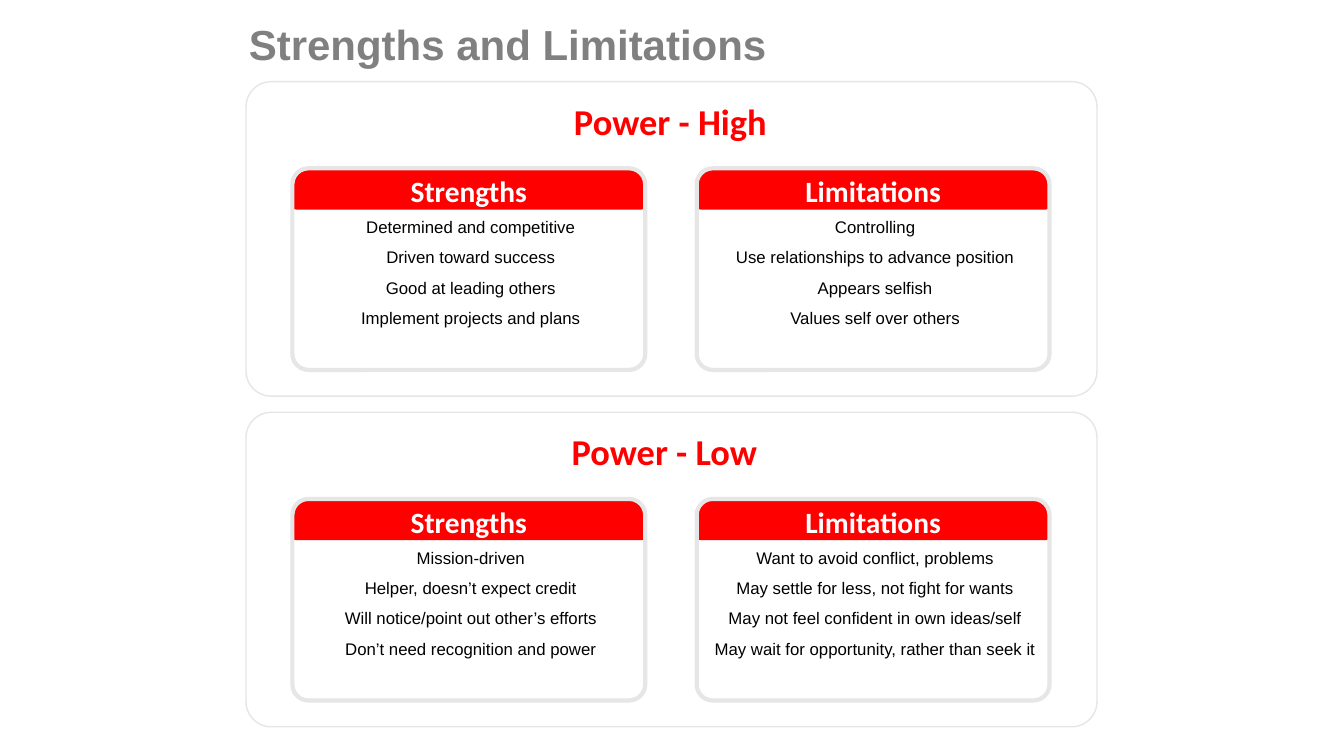
from pptx import Presentation
from pptx.dml.color import RGBColor
from pptx.enum.shapes import MSO_SHAPE as Shape
from pptx.enum.text import MSO_ANCHOR as Anchor, MSO_AUTO_SIZE as AutoSize, PP_ALIGN as Align
from pptx.util import Inches, Pt

COLORS = {"title": "808080", "accent": "FF0000", "border": "E7E6E6",
          "header": "FFFFFF", "body": "000000"}

PANELS = [
    ("Power - High", 2.54, {
        "Strengths": ["Determined and competitive", "Driven toward success",
                      "Good at leading others", "Implement projects and plans"],
        "Limitations": ["Controlling", "Use relationships to advance position",
                        "Appears selfish", "Values self over others"],
    }),
    ("Power - Low", 2.48, {
        "Strengths": ["Mission-driven", "Helper, doesn’t expect credit",
                      "Will notice/point out other’s efforts",
                      "Don’t need recognition and power"],
        "Limitations": ["Want to avoid conflict, problems",
                        "May settle for less, not fight for wants",
                        "May not feel confident in own ideas/self",
                        "May wait for opportunity, rather than seek it"],
    }),
]


def color(key):
    return RGBColor.from_string(COLORS[key])


def write_lines(frame, lines, size, font, key, bold=True, align=Align.CENTER):
    for index, line in enumerate(lines):
        paragraph = frame.add_paragraph() if index else frame.paragraphs[0]
        paragraph.alignment = align
        if len(lines) > 1:
            paragraph.line_spacing = 1.05
        if index:
            paragraph.space_before = Pt(6.6)
        run = paragraph.add_run()
        run.text = line
        run.font.size = Pt(size)
        run.font.name = font
        run.font.bold = bold
        run.font.color.rgb = color(key)


def add_text(slide, left, top, width, height, wrap=True):
    box = slide.shapes.add_textbox(Inches(left), Inches(top), Inches(width), Inches(height))
    box.text_frame.word_wrap = wrap
    box.text_frame.auto_size = AutoSize.SHAPE_TO_FIT_TEXT
    return box.text_frame


def add_outline(slide, left, top, width, height, rounding, weight):
    outline = slide.shapes.add_shape(Shape.ROUNDED_RECTANGLE, Inches(left), Inches(top),
                                     Inches(width), Inches(height))
    outline.adjustments[0] = rounding
    outline.shadow.inherit = False
    outline.fill.background()
    outline.line.color.rgb = color("border")
    outline.line.width = Pt(weight)


def add_card(slide, left, top, width, height, heading, points):
    body = add_text(slide, left - 0.18, top + 0.42, width + 0.4, 1.25)
    write_lines(body, points, 12, "Arial", "body", bold=False)

    header = slide.shapes.add_shape(Shape.ROUND_2_SAME_RECTANGLE, Inches(left),
                                    Inches(top + 0.01), Inches(width), Inches(0.4))
    header.adjustments[0] = 0.37
    header.adjustments[1] = 0.1
    header.shadow.inherit = False
    header.fill.solid()
    header.fill.fore_color.rgb = color("accent")
    header.line.fill.background()
    header.text_frame.word_wrap = False
    header.text_frame.vertical_anchor = Anchor.MIDDLE
    write_lines(header.text_frame, [heading], 21, "Calibri", "header")

    add_outline(slide, left, top, width, height, 0.08, 3)


def add_panel(slide, left, top, width, height, heading, heading_offset, cards):
    add_outline(slide, left, top, width, height, 0.08, 1)
    title = add_text(slide, left + heading_offset, top + 0.12, 3.34, 0.53)
    write_lines(title, [heading], 26, "Calibri", "accent")
    for column, (name, points) in enumerate(cards.items()):
        add_card(slide, left + 0.46 + column * 4.01, top + 0.86, 3.5, 2, name, points)


def add_title(slide, left, top, width, height):
    title = add_text(slide, left, top, width, height, wrap=False)
    write_lines(title, ["Strengths and Limitations"], 30, "Arial", "title", align=Align.LEFT)


def main():
    deck = Presentation()
    deck.slide_width = Inches(13.33)
    deck.slide_height = Inches(7.5)
    slide = deck.slides.add_slide(deck.slide_layouts[6])
    add_title(slide, 2.37, 0.13, 5.34, 0.6)
    for row, (heading, heading_offset, cards) in enumerate(PANELS):
        add_panel(slide, 2.44, 0.81 + row * 3.28, 8.44, 3.12, heading, heading_offset, cards)
    deck.save("out.pptx")


if __name__ == "__main__":
    main()
